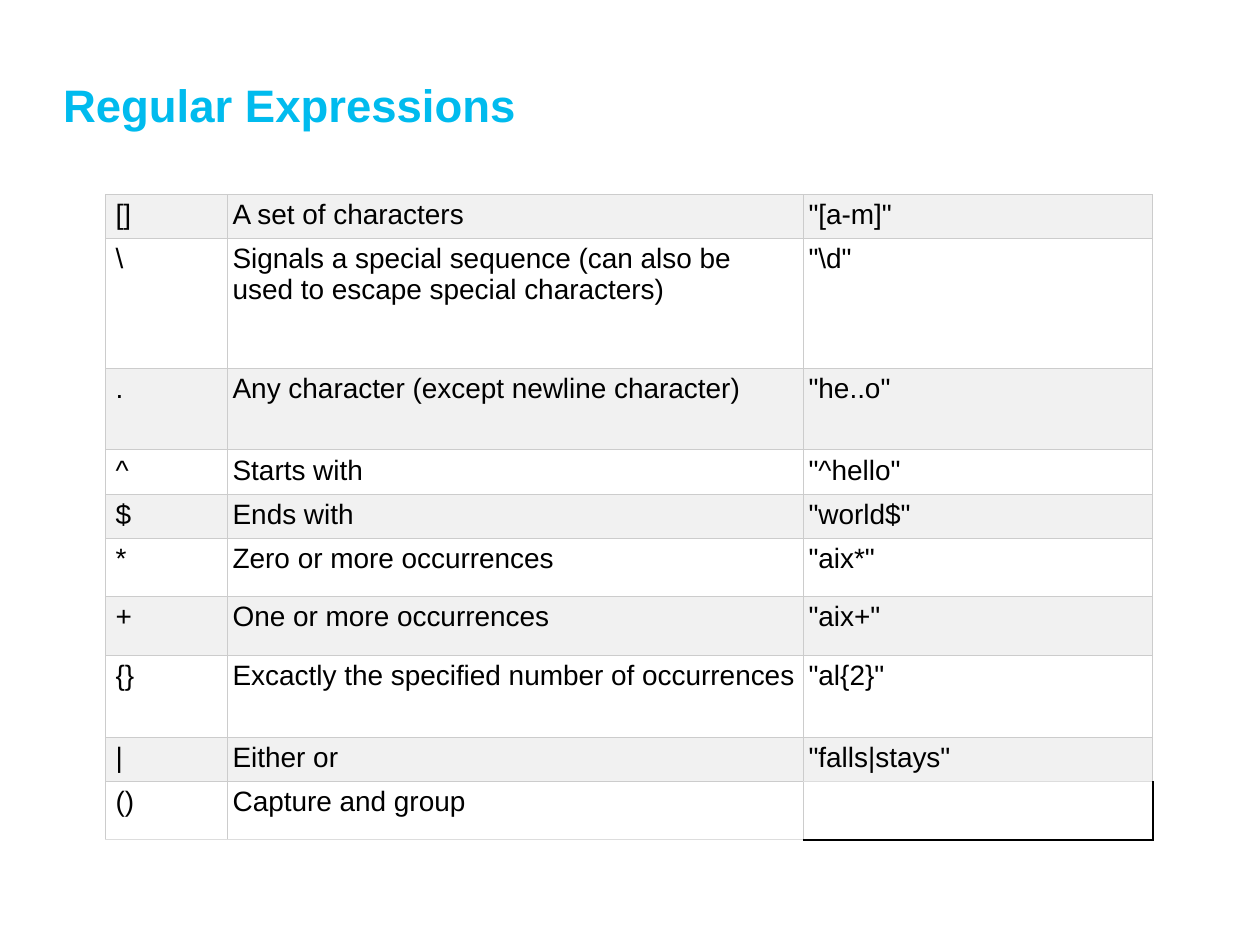
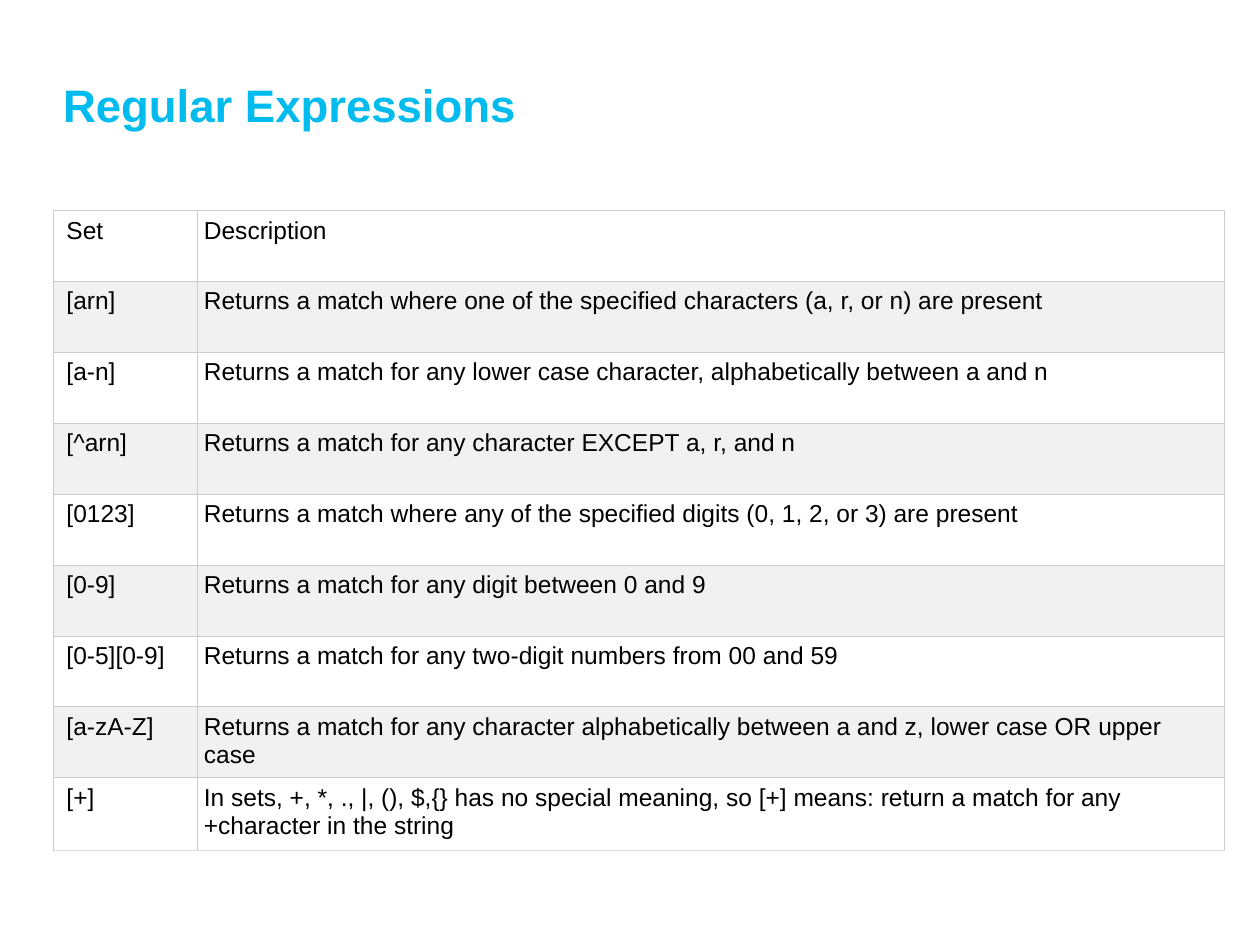
import pptx
import pptx.util
import pptx.dml.color
import pptx.enum.text
import pptx.oxml.ns
import lxml.etree

Cm, Pt = pptx.util.Cm, pptx.util.Pt

# Content
TITLE = "Regular Expressions"

METACHARACTERS = {
    "rows": [
        ("[]", "A set of characters", '"[a-m]"'),
        ("\\", "Signals a special sequence (can also be used to escape special characters)", '"\\d"'),
        (".", "Any character (except newline character)", '"he..o"'),
        ("^", "Starts with", '"^hello"'),
        ("$", "Ends with", '"world$"'),
        ("*", "Zero or more occurrences", '"aix*"'),
        ("+", "One or more occurrences", '"aix+"'),
        ("{}", "Excactly the specified number of occurrences", '"al{2}"'),
        ("|", "Either or", '"falls|stays"'),
        ("()", "Capture and group", ""),
    ],
    "corner": (2.13, 3.92),
    "widths": [2.46, 11.61, 7.04],
    "heights": [0.89, 2.61, 1.65, 0.89, 0.89, 1.18, 1.18, 1.65, 0.89, 1.18],
    "size": 16, "margin": 0.1, "first_shaded": 0,
}

SETS = {
    "rows": [
        ("Set", "Description"),
        ("[arn]", "Returns a match where one of the specified characters (a, r, or n) are present"),
        ("[a-n]", "Returns a match for any lower case character, alphabetically between a and n"),
        ("[^arn]", "Returns a match for any character EXCEPT a, r, and n"),
        ("[0123]", "Returns a match where any of the specified digits (0, 1, 2, or 3) are present"),
        ("[0-9]", "Returns a match for any digit between 0 and 9"),
        ("[0-5][0-9]", "Returns a match for any two-digit numbers from 00 and 59"),
        ("[a-zA-Z]", "Returns a match for any character alphabetically between a and z, "
                     "lower case OR upper case"),
        ("[+]", "In sets, +, *, ., |, (), $,{} has no special meaning, so [+] means: "
                "return a match for any +character in the string"),
    ],
    "corner": (1.08, 4.24),
    "widths": [2.9, 20.7],
    "heights": [1.43] * 8 + [1.47],
    "size": 14, "margin": 0.13, "first_shaded": 1,
}

# Shared style
FONT = "Arial"
COLORS = {"title": "00BBEE", "text": "000000", "shaded": "F1F1F1", "plain": "FFFFFF",
          "grid": "CCCCCC", "grid_end": "DDDDDD", "open_edge": "000000"}


def color(name):
    return pptx.dml.color.RGBColor.from_string(COLORS[name])


def set_font(para, size, name, bold=False):
    para.font.name = FONT
    para.font.size = Pt(size)
    para.font.bold = bold
    para.font.color.rgb = color(name)


def add_border(cell, side, name, width):
    qn = pptx.oxml.ns.qn
    line = lxml.etree.SubElement(cell._tc.get_or_add_tcPr(), qn(f"a:ln{side}"), w=str(Pt(width)))
    fill = lxml.etree.SubElement(line, qn("a:solidFill"))
    lxml.etree.SubElement(fill, qn("a:srgbClr"), val=COLORS[name])


def add_title(page):
    box = page.shapes.title
    box.left, box.top, box.width, box.height = Cm(1.27), Cm(0.48), Cm(22.78), Cm(2.18)
    frame = box.text_frame
    frame.text = TITLE
    frame.margin_left = frame.margin_right = frame.margin_top = frame.margin_bottom = 0
    frame.vertical_anchor = pptx.enum.text.MSO_ANCHOR.BOTTOM
    frame.auto_size = pptx.enum.text.MSO_AUTO_SIZE.NONE
    para = frame.paragraphs[0]
    para.alignment = pptx.enum.text.PP_ALIGN.LEFT
    para.line_spacing = Pt(26)
    set_font(para, 26, "title", bold=True)


def format_cell(cell, content, row, column):
    rows = content["rows"]
    text = rows[row][column]
    last = row == len(rows) - 1

    # Borders: lighter at the table's end and around the empty cell
    above_end = last or not rows[row + 1][column]
    borders = {"L": ("grid", 0.6), "R": ("grid", 0.6),
               "T": ("grid" if text else "grid_end", 0.6),
               "B": ("grid_end" if above_end else "grid", 0.6)}
    if not text:
        borders["R"] = borders["B"] = ("open_edge", 1)
    for side, (name, width) in borders.items():
        add_border(cell, side, name, width)

    # Fill and text
    if text:
        shaded = row % 2 == content["first_shaded"]
        cell.fill.solid()
        cell.fill.fore_color.rgb = color("shaded" if shaded else "plain")
    else:
        cell.fill.background()
    margin = Cm(content["margin"])
    cell.margin_left = margin * 2 if column == 0 else margin
    cell.margin_right = cell.margin_top = cell.margin_bottom = margin
    cell.text = text
    set_font(cell.text_frame.paragraphs[0], content["size"], "text")


def add_table(page, content):
    widths, heights = content["widths"], content["heights"]
    left, top = content["corner"]
    table = page.shapes.add_table(len(heights), len(widths), Cm(left), Cm(top),
                                  Cm(sum(widths)), Cm(sum(heights))).table
    table.first_row = table.horz_banding = False
    for column, width in enumerate(widths):
        table.columns[column].width = Cm(width)
    for row, height in enumerate(heights):
        table.rows[row].height = Cm(height)
        for column in range(len(widths)):
            format_cell(table.cell(row, column), content, row, column)


def main():
    deck = pptx.Presentation()
    deck.slide_width, deck.slide_height = Cm(25.4), Cm(19.05)
    title_only = deck.slide_layouts[5]
    for content in (METACHARACTERS, SETS):
        page = deck.slides.add_slide(title_only)
        add_title(page)
        add_table(page, content)
    deck.save("out.pptx")


if __name__ == "__main__":
    main()
